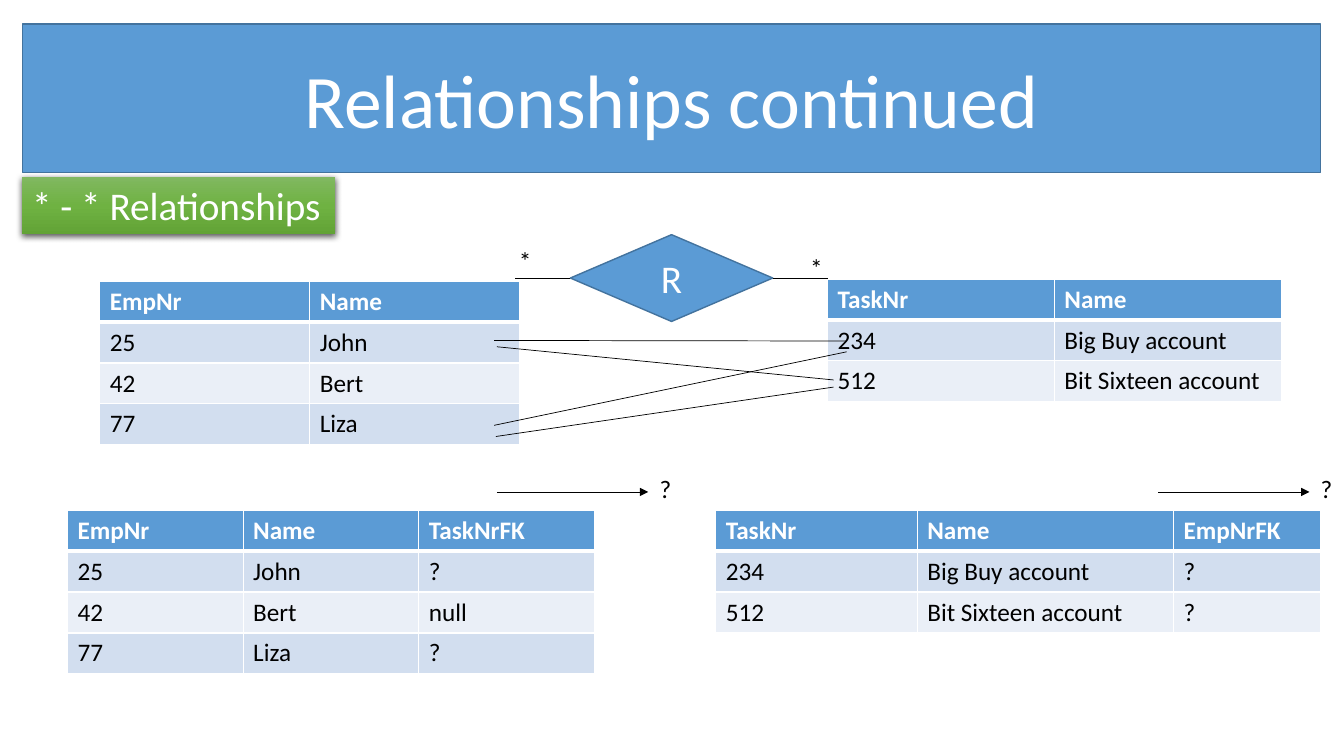
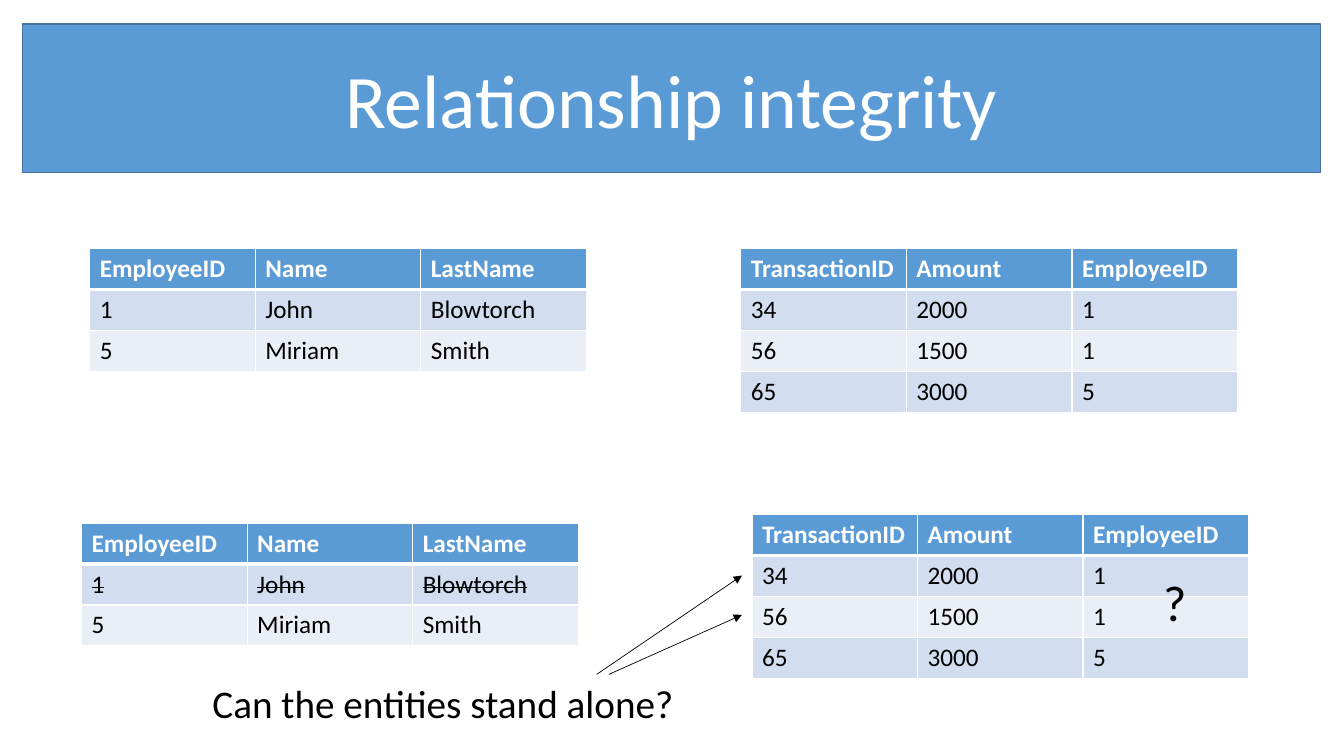
from lxml.etree import SubElement
from pptx import Presentation
from pptx.dml.color import RGBColor
from pptx.enum.shapes import MSO_CONNECTOR, MSO_SHAPE
from pptx.enum.text import MSO_ANCHOR, MSO_AUTO_SIZE, PP_ALIGN
from pptx.oxml import parse_xml
from pptx.oxml.ns import nsdecls, qn
from pptx.util import Pt

FONT = "Calibri"
BLUE, DARK_BLUE = "5B9BD5", "43739E"
BANDS = ("D2DEEF", "EAEFF7")
WHITE, BLACK = "FFFFFF", "000000"
GREENS = ((0, "81B861"), (50, "6FB242"), (100, "62A336"))
ROW_HEIGHT = 29.2


def color(hex_text):
    return RGBColor.from_string(hex_text)


def write(frame, text, size=18, ink=BLACK, bold=False, strike=False, align=PP_ALIGN.LEFT):
    paragraph = frame.paragraphs[0]
    paragraph.alignment = align
    run = paragraph.add_run()
    run.text = text
    run.font.name = FONT
    run.font.size = Pt(size)
    run.font.bold = bold
    run.font.color.rgb = color(ink)
    if strike:
        run.font._element.set("strike", "sngStrike")


def add_border(cell, side, width):
    line = SubElement(cell._tc.get_or_add_tcPr(), qn("a:ln" + side), w=str(Pt(width)))
    fill = SubElement(line, qn("a:solidFill"))
    SubElement(fill, qn("a:srgbClr"), val=WHITE)


class Deck:
    def __init__(self):
        self.presentation = Presentation()
        self.presentation.slide_width = Pt(960)
        self.presentation.slide_height = Pt(540)
        self.slide = None

    def start_slide(self, title):
        self.slide = self.presentation.slides.add_slide(self.presentation.slide_layouts[6])
        self.block(MSO_SHAPE.RECTANGLE, 16, 17.2, 927.2, 106, title, 54)

    def shape(self, kind, left, top, width, height):
        shape = self.slide.shapes.add_shape(kind, Pt(left), Pt(top), Pt(width), Pt(height))
        shape.shadow.inherit = False
        return shape

    def block(self, kind, left, top, width, height, text, size):
        shape = self.shape(kind, left, top, width, height)
        shape.fill.solid()
        shape.fill.fore_color.rgb = color(BLUE)
        shape.line.color.rgb = color(DARK_BLUE)
        shape.line.width = Pt(1)
        shape.text_frame.vertical_anchor = MSO_ANCHOR.MIDDLE
        write(shape.text_frame, text, size, WHITE, align=PP_ALIGN.CENTER)

    def fit(self, frame):
        frame.word_wrap = False
        frame.auto_size = MSO_AUTO_SIZE.SHAPE_TO_FIT_TEXT
        frame.vertical_anchor = MSO_ANCHOR.TOP

    def badge(self, left, top, width, height, text):
        shape = self.shape(MSO_SHAPE.RECTANGLE, left, top, width, height)
        shape.line.fill.background()
        # Three-stop gradient and soft shadow
        stops = "".join(f'<a:gs pos="{position * 1000}"><a:srgbClr val="{green}"/></a:gs>'
                        for position, green in GREENS)
        properties = shape._element.spPr
        properties.find(qn("a:prstGeom")).addnext(parse_xml(
            f'<a:gradFill {nsdecls("a")}><a:gsLst>{stops}</a:gsLst>'
            '<a:lin ang="5400000" scaled="0"/></a:gradFill>'))
        properties.find(qn("a:effectLst")).append(parse_xml(
            f'<a:outerShdw {nsdecls("a")} blurRad="{Pt(4.5)}" dist="{Pt(1.5)}" dir="5400000" '
            'algn="ctr" rotWithShape="0"><a:srgbClr val="000000"><a:alpha val="63000"/>'
            '</a:srgbClr></a:outerShdw>'))
        self.fit(shape.text_frame)
        write(shape.text_frame, text, 28, WHITE)

    def label(self, left, top, width, height, text, size=18):
        box = self.slide.shapes.add_textbox(Pt(left), Pt(top), Pt(width), Pt(height))
        self.fit(box.text_frame)
        write(box.text_frame, text, size)

    def line(self, start_x, start_y, end_x, end_y, arrow=False):
        connector = self.slide.shapes.add_connector(
            MSO_CONNECTOR.STRAIGHT, Pt(start_x), Pt(start_y), Pt(end_x), Pt(end_y))
        connector.line.color.rgb = color(BLACK)
        connector.line.width = Pt(0.5)
        if arrow:
            SubElement(connector.line._get_or_add_ln(), qn("a:tailEnd"), type="triangle")
        SubElement(connector._element.spPr, qn("a:effectLst"))

    def table(self, left, top, widths, rows, struck_row=None):
        table = self.slide.shapes.add_table(
            len(rows), len(widths), Pt(left), Pt(top),
            Pt(sum(widths)), Pt(ROW_HEIGHT * len(rows))).table
        for column, width in zip(table.columns, widths):
            column.width = Pt(width)
        for row_index, values in enumerate(rows):
            table.rows[row_index].height = Pt(ROW_HEIGHT)
            header = row_index == 0
            for column_index, value in enumerate(values):
                cell = table.cell(row_index, column_index)
                # The rule under the header is thicker
                for side in "LRTB":
                    thick = (side, row_index) in (("B", 0), ("T", 1))
                    add_border(cell, side, 3 if thick else 1)
                cell.fill.solid()
                cell.fill.fore_color.rgb = color(BLUE if header else BANDS[(row_index - 1) % 2])
                write(cell.text_frame, value, ink=WHITE if header else BLACK,
                      bold=header, strike=row_index == struck_row)


def add_column(rows, values):
    return [(*row, value) for row, value in zip(rows, values)]


deck = Deck()

# Many-to-many relationships
employees = [("EmpNr", "Name"), ("25", "John"), ("42", "Bert"), ("77", "Liza")]
tasks = [("TaskNr", "Name"), ("234", "Big Buy account"), ("512", "Bit Sixteen account")]

deck.start_slide("Relationships continued")
deck.table(591.1, 199.4, [162] * 2, tasks)
deck.table(71.3, 200.9, [150] * 2, employees)
deck.block(MSO_SHAPE.FLOWCHART_DECISION, 407.4, 167.6, 144.6, 62, "R", 28)
deck.table(48.2, 364.5, [125.5] * 3, add_column(employees, ("TaskNrFK", "?", "null", "?")))
deck.table(511.2, 364.5, [144, 183, 105], add_column(tasks, ("EmpNrFK", "?", "?")))

# Links between employees and tasks
for ends in ((353, 243.2, 604.8, 243.6), (355, 247.7, 595.4, 271.4),
             (353, 303.8, 604.8, 251.3), (354.2, 311.8, 595.4, 276.5)):
    deck.line(*ends)
deck.badge(15.8, 126.2, 223.5, 41.2, "* - * Relationships")

# Cardinality on both sides of the diamond
deck.line(552, 198.7, 591.1, 198.7)
deck.line(407.4, 198.7, 368, 198.7)
deck.label(571.7, 176.4, 23.8, 29, "*")
deck.label(363.6, 172, 23.8, 29, "*")

# Open foreign keys
for arrow_left in (355, 827.3):
    deck.line(arrow_left, 351.4, arrow_left + 108, 351.4, arrow=True)
    deck.label(arrow_left + 109, 334.2, 23, 29, "?")

# Relationship integrity
people = [("EmployeeID", "Name", "LastName"), ("1", "John", "Blowtorch"), ("5", "Miriam", "Smith")]
transactions = [("TransactionID", "Amount", "EmployeeID"),
                ("34", "2000", "1"), ("56", "1500", "1"), ("65", "3000", "5")]
thirds = [118.25] * 3

deck.start_slide("Relationship integrity")
deck.table(64.1, 177.6, thirds, people)
deck.table(529.2, 177.6, thirds, transactions)
deck.table(58.3, 373.7, thirds, people, struck_row=1)
deck.table(537.1, 367.6, thirds, transactions)

# Question about the orphaned rows
deck.label(823.7, 404.2, 31.7, 51, "?", 36)
deck.label(144.7, 481.7, 347.8, 41.2, "Can the entities stand alone?", 28)
deck.line(426.2, 481.7, 530, 411.1, arrow=True)
deck.line(434.9, 481.7, 530, 439.2, arrow=True)

deck.presentation.save("out.pptx")
